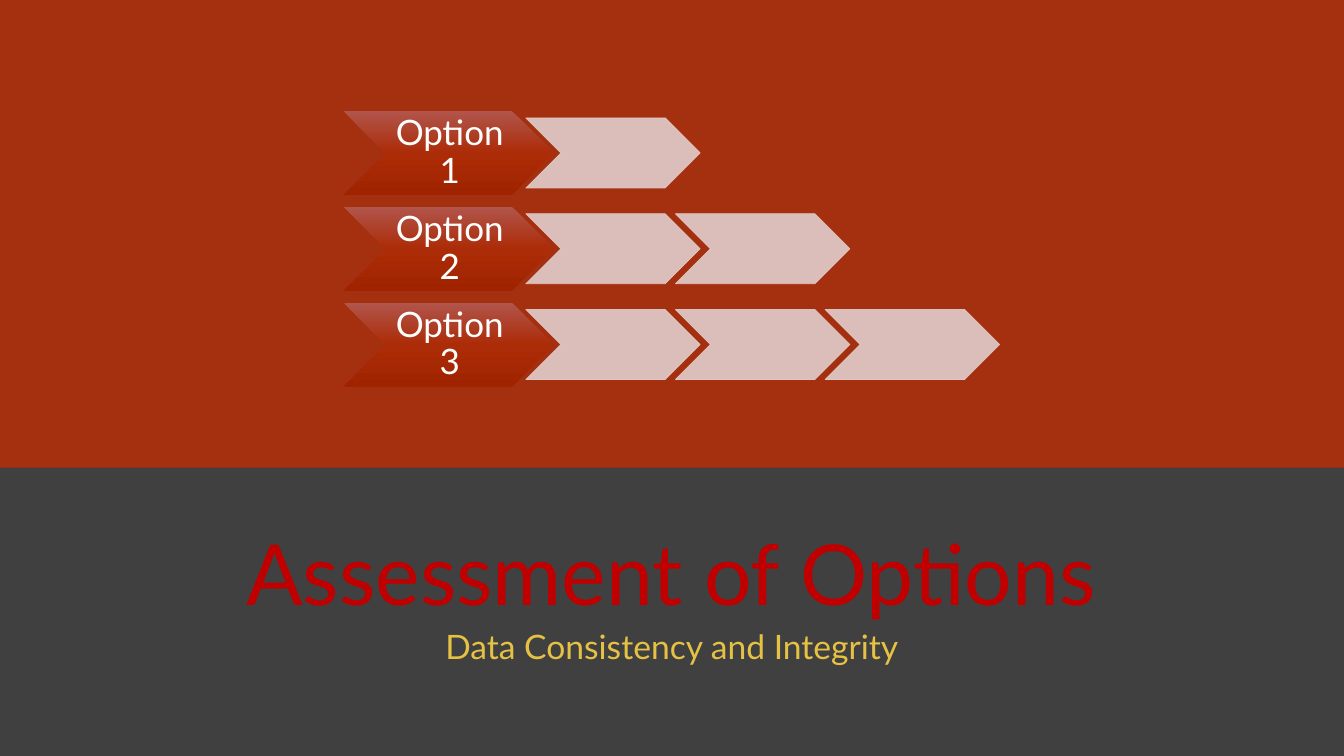
from dataclasses import dataclass

from pptx import Presentation
from pptx.dml.color import RGBColor
from pptx.enum.shapes import MSO_SHAPE
from pptx.enum.text import MSO_ANCHOR, MSO_AUTO_SIZE, PP_ALIGN
from pptx.oxml import parse_xml
from pptx.oxml.ns import nsdecls, qn
from pptx.shapes.autoshape import Shape
from pptx.slide import Slide
from pptx.text.text import TextFrame
from pptx.util import Pt

FONT = "Lato"
WIDTH, HEIGHT = 960, 540
BAND_TOP = 334
ROW_TOP, ROW_PITCH = 79.3, 68.4
HEAD_LEFT, HEAD_W, HEAD_H = 245.5, 150, 60
LABEL_LEFT, LABEL_W = 275.2, 90
STEP_LEFT, STEP_PITCH, STEP_W, STEP_H = 375.6, 106.9, 124.6, 50
HEAD_GRADIENT = ((0, "B1554C"), (50, "AC2C08"), (100, "A02300"))
STEP_COLOR, STEP_ALPHA = "E1CDCC", 90


@dataclass
class Option:
    label: str
    steps: int


OPTIONS = [Option("Option 1", 1), Option("Option 2", 2), Option("Option 3", 3)]


def color(value: str) -> RGBColor:
    return RGBColor.from_string(value)


def place(sp: Shape, left: float, top: float, width: float, height: float) -> None:
    sp.left, sp.top, sp.width, sp.height = Pt(left), Pt(top), Pt(width), Pt(height)


def write(tf: TextFrame, text: str, size: float, rgb: str, anchor: MSO_ANCHOR,
          before: float = 0, after: float = 0) -> None:
    tf.word_wrap = True
    tf.auto_size = MSO_AUTO_SIZE.NONE
    tf.vertical_anchor = anchor
    p = tf.paragraphs[0]
    p.alignment = PP_ALIGN.CENTER
    p.line_spacing = 0.9
    p.space_before, p.space_after = Pt(before), Pt(after)
    r = p.add_run()
    r.text = text
    r.font.name, r.font.size = FONT, Pt(size)
    r.font.color.rgb = color(rgb)


def add_plain(s: Slide, kind: MSO_SHAPE, left: float, top: float,
              width: float, height: float) -> Shape:
    """Add a preset shape without shadow or outline."""
    sp = s.shapes.add_shape(kind, Pt(left), Pt(top), Pt(width), Pt(height))
    sp.shadow.inherit = False
    sp.line.fill.background()
    return sp


def add_head(s: Slide, label: str, top: float) -> None:
    sp = add_plain(s, MSO_SHAPE.CHEVRON, HEAD_LEFT, top, HEAD_W, HEAD_H)
    sp.fill.gradient()
    sp.fill.gradient_angle = 270
    stops = "".join(f'<a:gs pos="{pos * 1000}"><a:srgbClr val="{rgb}"/></a:gs>'
                    for pos, rgb in HEAD_GRADIENT)
    old = next(sp.element.spPr.iter(qn("a:gsLst")))
    old.getparent().replace(
        old, parse_xml(f'<a:gsLst {nsdecls("a")}>{stops}</a:gsLst>'))

    box = s.shapes.add_textbox(Pt(LABEL_LEFT), Pt(top), Pt(LABEL_W), Pt(HEAD_H))
    tf = box.text_frame
    tf.margin_left, tf.margin_right = Pt(2), Pt(0)
    tf.margin_top = tf.margin_bottom = Pt(1.5)
    write(tf, label, 25, "FFFFFF", MSO_ANCHOR.MIDDLE, after=8.75)


def add_step(s: Slide, left: float, top: float) -> None:
    sp = add_plain(s, MSO_SHAPE.CHEVRON, left, top, STEP_W, STEP_H)
    sp.line.width = Pt(0.5)
    for fill in (sp.fill, sp.line.fill):
        fill.solid()
        fill.fore_color.rgb = color(STEP_COLOR)
    for clr in sp.element.spPr.iter(qn("a:srgbClr")):
        clr.append(parse_xml(
            f'<a:alpha {nsdecls("a")} val="{STEP_ALPHA * 1000}"/>'))


def main() -> None:
    prs = Presentation()
    prs.slide_width, prs.slide_height = Pt(WIDTH), Pt(HEIGHT)
    s = prs.slides.add_slide(prs.slide_layouts[0])
    s.background.fill.solid()
    s.background.fill.fore_color.rgb = color("A5300F")

    title, subtitle = s.shapes.title, s.placeholders[1]
    place(title, 55.5, 354.2, 847.5, 95)
    write(title.text_frame, "Assessment of Options", 60, "C00000",
          MSO_ANCHOR.BOTTOM)
    place(subtitle, 108.7, 446.4, 742.3, 57)
    write(subtitle.text_frame, "Data Consistency and Integrity", 24, "E5C243",
          MSO_ANCHOR.TOP, before=10)

    band = add_plain(s, MSO_SHAPE.RECTANGLE, 0, BAND_TOP, WIDTH, HEIGHT - BAND_TOP)
    band.fill.solid()
    band.fill.fore_color.rgb = color("404040")
    title.element.addprevious(band.element)

    for row, option in enumerate(OPTIONS):
        top = ROW_TOP + row * ROW_PITCH
        add_head(s, option.label, top)
        for step in range(option.steps):
            add_step(s, STEP_LEFT + step * STEP_PITCH, top + (HEAD_H - STEP_H) / 2)

    prs.save("out.pptx")


if __name__ == "__main__":
    main()
